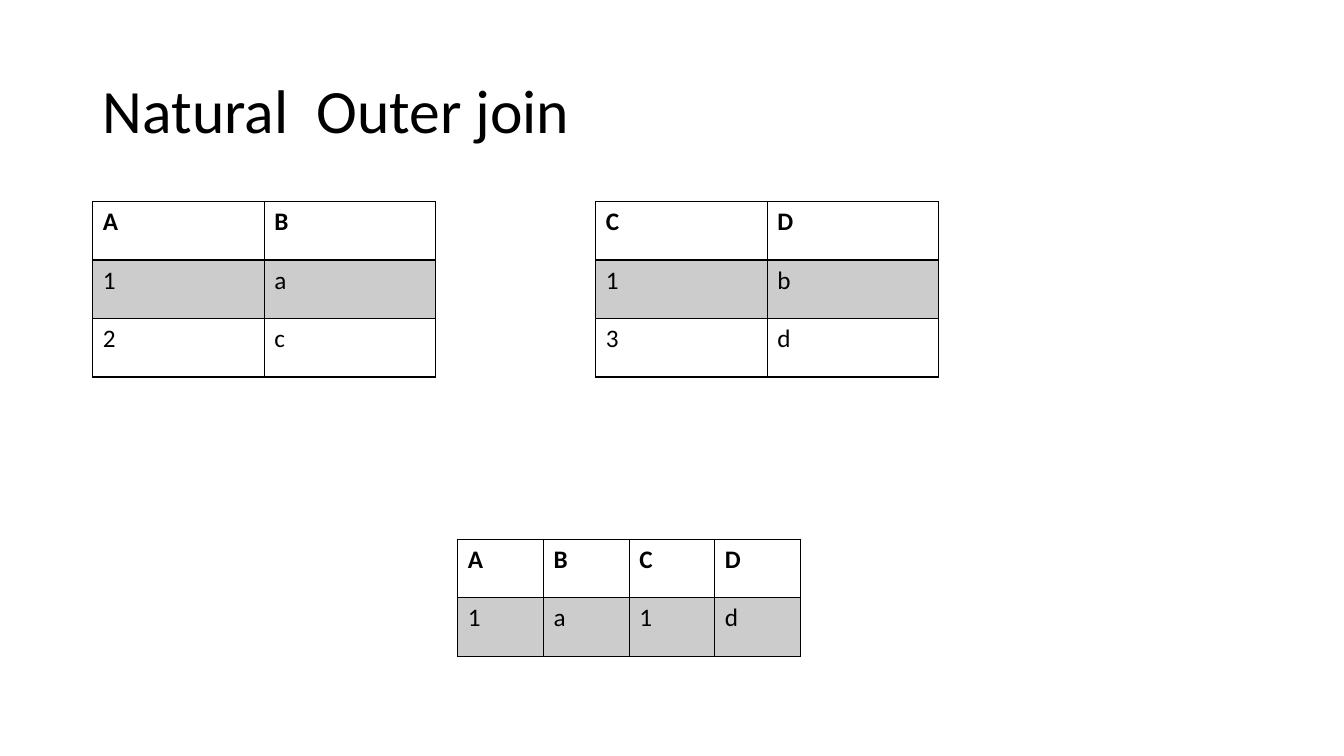
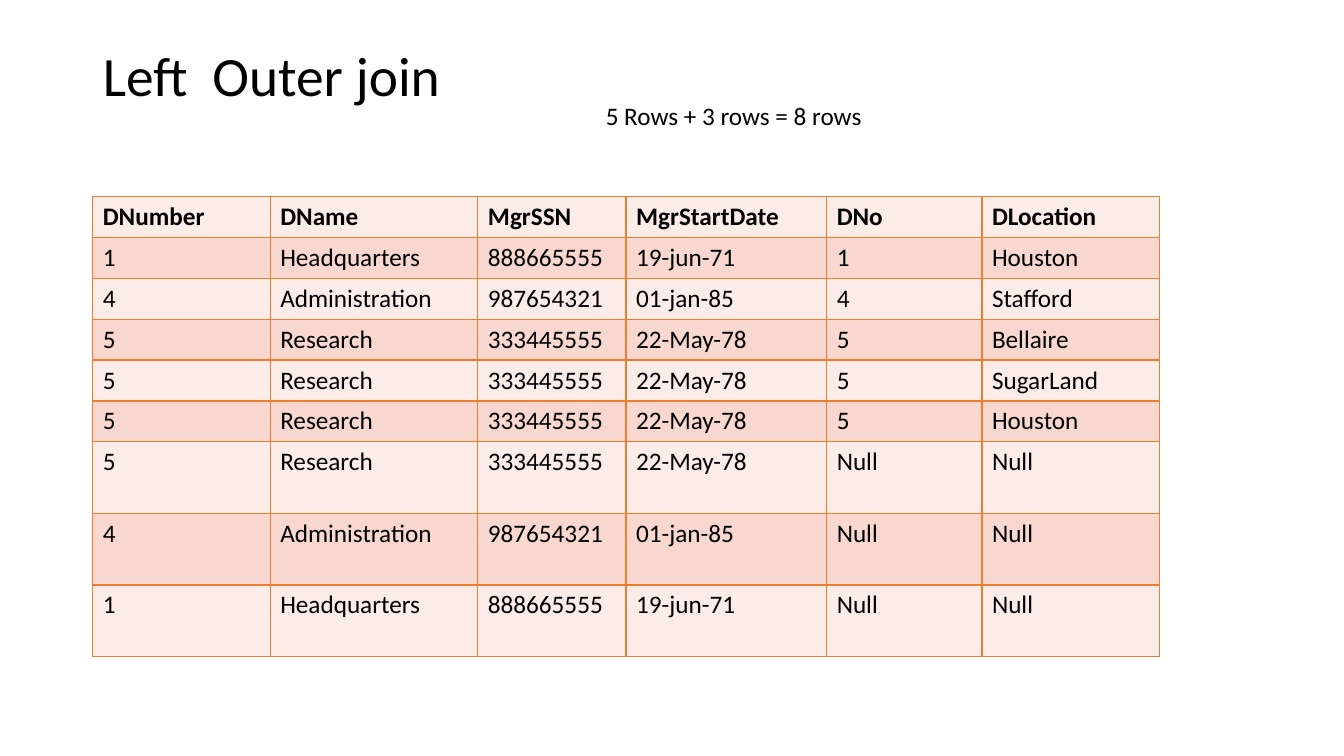
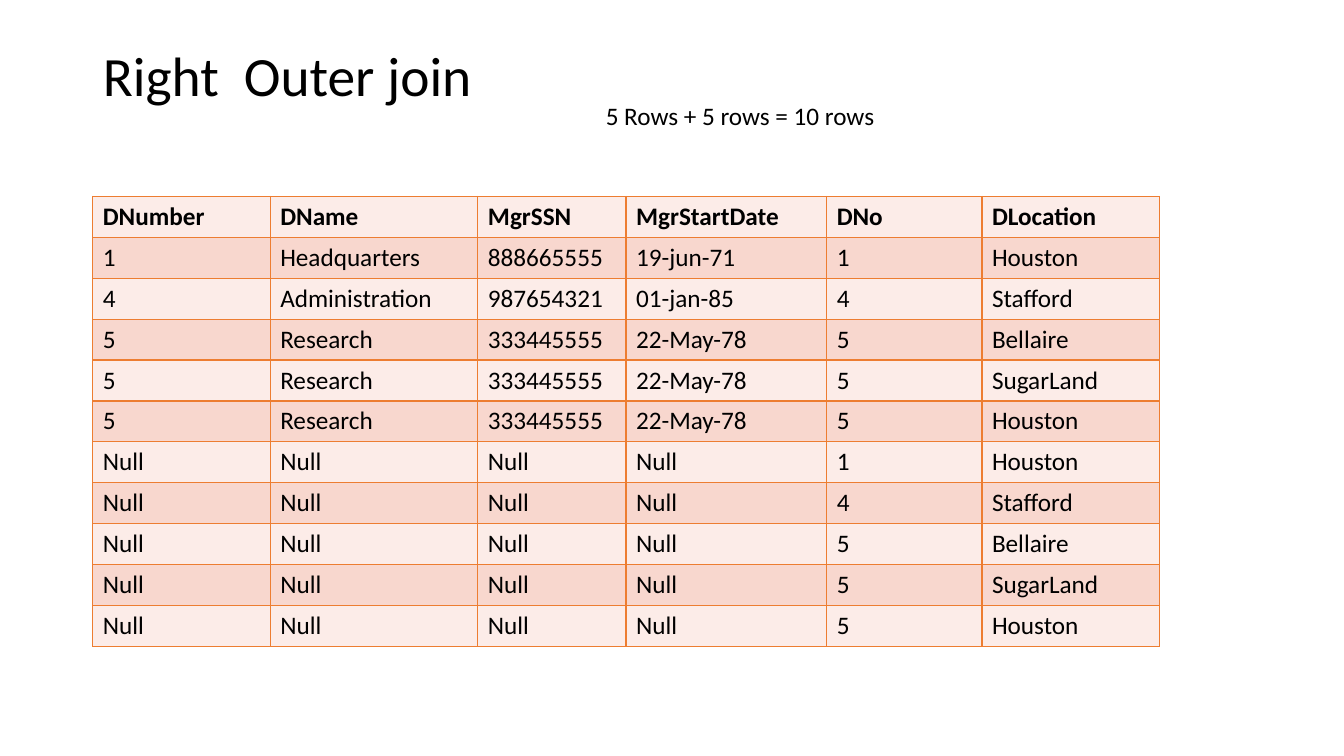
import pptx
import pptx.dml.color
import pptx.enum.text
import pptx.oxml
import pptx.oxml.ns
import pptx.util

PX = 9144
FONT = "Calibri"
BLACK, GREY, ORANGE = "000000", "CCCCCC", "ED7D31"
LIGHT_PEACH, PEACH = "FCECE8", "F8D7CE"


def rgb(value):
    return pptx.dml.color.RGBColor.from_string(value)


def add_grid(s, left, top, cols, heights, rows, fills, border):
    width, height = sum(cols), sum(heights)
    frame = s.shapes.add_table(len(rows), len(cols), left * PX, top * PX, width * PX, height * PX)
    table = frame.table
    table.first_row = False
    table.horz_banding = False
    for i, col in enumerate(cols):
        table.columns[i].width = col * PX
    for i, row in enumerate(rows):
        table.rows[i].height = heights[i] * PX
        fill = fills[i % 2]
        for j, text in enumerate(row):
            cell = table.cell(i, j)
            cell.text = text
            font = cell.text_frame.paragraphs[0].font
            font.name = FONT
            font.size = pptx.util.Pt(18)
            font.bold = i == 0
            font.color.rgb = rgb(BLACK)
            tc_pr = cell._tc.get_or_add_tcPr()
            for side in "LRTB":
                tc_pr.append(pptx.oxml.parse_xml(
                    f'<a:ln{side} {pptx.oxml.ns.nsdecls("a")} w="12700"><a:solidFill>'
                    f'<a:srgbClr val="{border}"/></a:solidFill></a:ln{side}>'))
            if fill:
                cell.fill.solid()
                cell.fill.fore_color.rgb = rgb(fill)
            else:
                cell.fill.background()


prs = pptx.Presentation()
prs.slide_width = 1333 * PX
prs.slide_height = 750 * PX

header = ["DNumber", "DName", "MgrSSN", "MgrStartDate", "DNo", "DLocation"]
headquarters = ["1", "Headquarters", "888665555", "19-jun-71"]
administration = ["4", "Administration", "987654321", "01-jan-85"]
research = ["5", "Research", "333445555", "22-May-78"]
joined = [
    headquarters + ["1", "Houston"],
    administration + ["4", "Stafford"],
    research + ["5", "Bellaire"],
    research + ["5", "SugarLand"],
    research + ["5", "Houston"],
]
left_only = [row[:4] + ["Null"] * 2 for row in joined[2::-1]]
right_only = [["Null"] * 4 + row[4:] for row in joined]

titles = [("Natural  Outer join", 145, 44), ("Left  Outer join", 75, 39.6), ("Right  Outer join", 75, 39.6)]
for title, height, size in titles:
    s = prs.slides.add_slide(prs.slide_layouts[5])
    sp = s.shapes.title
    sp.left, sp.top, sp.width, sp.height = 92 * PX, 40 * PX, 1150 * PX, height * PX
    tf = sp.text_frame
    tf.text = title
    tf.word_wrap = True
    tf.auto_size = pptx.enum.text.MSO_AUTO_SIZE.NONE
    tf.vertical_anchor = pptx.enum.text.MSO_ANCHOR.MIDDLE
    p = tf.paragraphs[0]
    p.alignment = pptx.enum.text.PP_ALIGN.LEFT
    p.line_spacing = 0.9
    p.font.name = FONT
    p.font.size = pptx.util.Pt(size)
    p.font.color.rgb = rgb(BLACK)

natural, left_join, right_join = prs.slides

small_tables = [
    (92, 200, 170, ["AB", "1a", "2c"]),
    (591, 200, 170, ["CD", "1b", "3d"]),
    (454, 535, 85, ["ABCD", "1a1d"]),
]
for left, top, col, rows in small_tables:
    add_grid(natural, left, top, [col] * len(rows[0]), [58] * len(rows), rows, [None, GREY], BLACK)

outer_joins = [
    (left_join, "5 Rows + 3 rows = 8 rows", left_only, 71),
    (right_join, "5 Rows + 5 rows = 10 rows", right_only, 40),
]
for s, note, unmatched, unmatched_height in outer_joins:
    rows = [header] + joined + unmatched
    heights = [40] * (1 + len(joined)) + [unmatched_height] * len(unmatched)
    add_grid(s, 92, 195, [176, 206, 147, 199, 154, 176], heights, rows, [LIGHT_PEACH, PEACH], ORANGE)
    tf = s.shapes.add_textbox(591 * PX, 95 * PX, 321 * PX, 40 * PX).text_frame
    tf.word_wrap = True
    tf.text = note
    p = tf.paragraphs[0]
    p.font.name = FONT
    p.font.size = pptx.util.Pt(18)
    p.font.color.rgb = rgb(BLACK)

prs.save("out.pptx")
